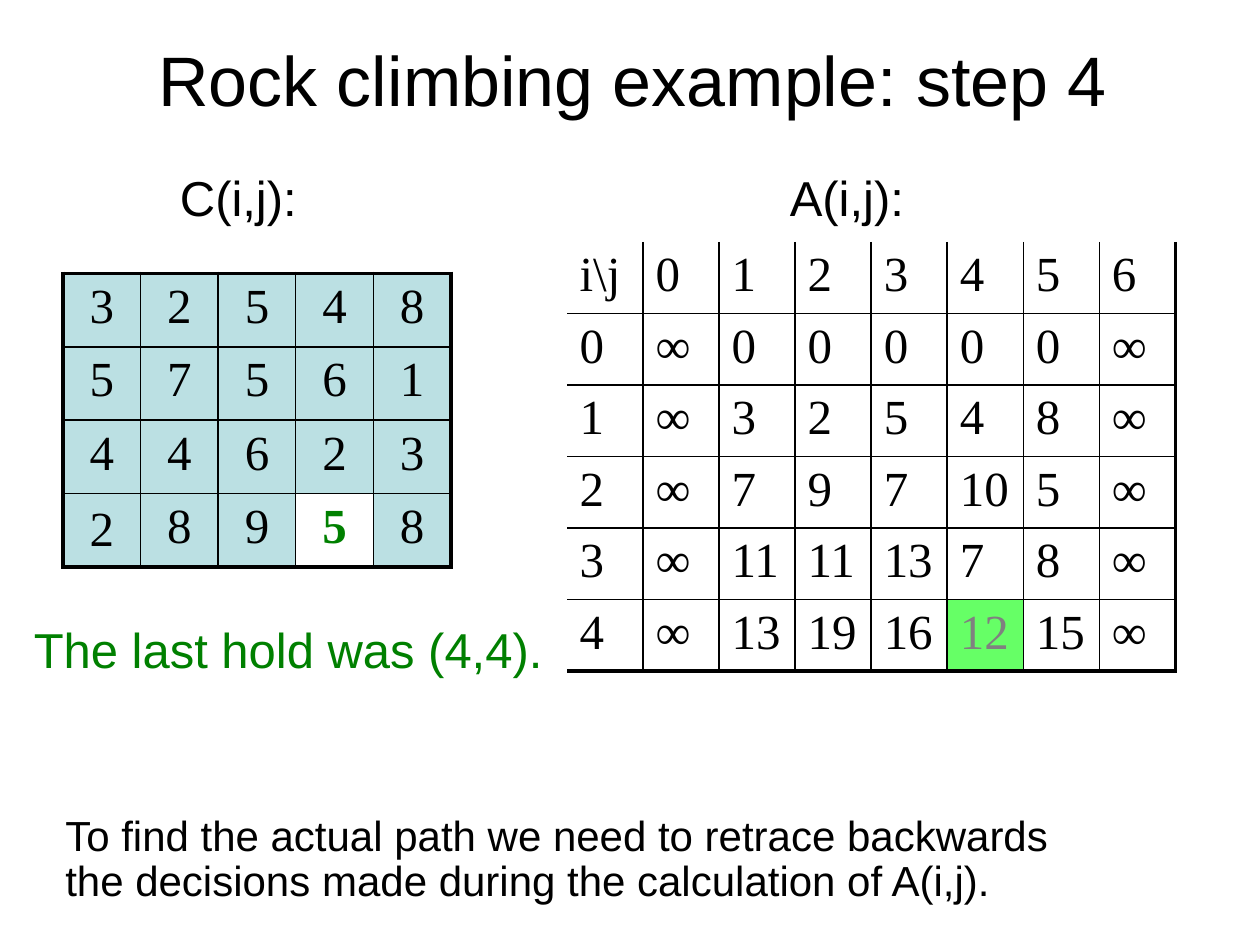
from lxml.etree import SubElement
from pptx import Presentation
from pptx.dml.color import RGBColor
from pptx.enum.text import MSO_ANCHOR, PP_ALIGN
from pptx.oxml.ns import qn
from pptx.util import Inches, Pt

BLACK, GREEN, WHITE = "000000", "008000", "FFFFFF"
THIN, THICK = 1, 2.25

# text lines, (left, top, width, height), size, colour, extra format
TEXTS = [
    (["Rock climbing example: step 4"], (0.77, 0, 8.5, 1.25), 40, BLACK,
     {"align": PP_ALIGN.CENTER, "anchor": MSO_ANCHOR.MIDDLE, "spacing": 1}),
    (["C(i,j):"], (1.33, 1.33, 1.14, 0.52), 28, BLACK, {"wrap": False}),
    (["A(i,j):"], (6.17, 1.33, 1.16, 0.52), 28, BLACK, {"wrap": False}),
    (["The last hold was (4,4)."], (0.17, 4.92, 4.25, 0.52), 28, GREEN, {"wrap": False}),
    (["To find the actual path we need to retrace backwards",
      "the decisions made during the calculation of A(i,j)."],
     (0.42, 6.42, 8.76, 0.82), 24, BLACK, {}),
]

# edges: outer border widths for left, right, top, bottom (0 is no line)
# special: cells that differ, by (row, column)
TABLES = [
    {"rows": ["3 2 5 4 8", "5 7 5 6 1", "4 4 6 2 3", "2 8 9 5 8"],
     "box": (0.5, 2.17, 3.08, 2.33), "fill": "BBE0E3", "align": PP_ALIGN.CENTER,
     "edges": (THICK, THICK, THICK, THICK),
     "special": {(3, 0): {"anchor": MSO_ANCHOR.MIDDLE},
                 (3, 3): {"fill": WHITE, "color": GREEN, "bold": True}}},
    {"rows": [r"i\j 0 1 2 3 4 5 6", "0 ∞ 0 0 0 0 0 ∞", "1 ∞ 3 2 5 4 8 ∞",
              "2 ∞ 7 9 7 10 5 ∞", "3 ∞ 11 11 13 7 8 ∞", "4 ∞ 13 19 16 12 15 ∞"],
     "box": (4.5, 1.92, 4.83, 3.4), "fill": None, "align": PP_ALIGN.LEFT,
     "edges": (0, THICK, 0, THICK),
     "special": {(5, 5): {"fill": "66FF66", "color": "808080"}}},
]


def rgb(value):
    return RGBColor.from_string(value)


def set_font(font, name, size, color, bold=False):
    for key, value in {"name": name, "size": Pt(size), "bold": bold}.items():
        setattr(font, key, value)
    font.color.rgb = rgb(color)


def add_text(slide, lines, box, size, color, fmt):
    tf = slide.shapes.add_textbox(*map(Inches, box)).text_frame
    tf.word_wrap = fmt.get("wrap", True)
    tf.vertical_anchor = fmt.get("anchor", MSO_ANCHOR.TOP)
    tf.text = "\n".join(lines)
    for p in tf.paragraphs:
        p.alignment = fmt.get("align", PP_ALIGN.LEFT)
        p.line_spacing = fmt.get("spacing", 0.9)
        set_font(p.runs[0].font, "Arial", size, color)


def set_borders(cell, widths):
    """Draw left, right, top and bottom lines; they must precede the fill."""
    tcPr = cell._tc.get_or_add_tcPr()
    for i, (side, width) in enumerate(zip("LRTB", widths)):
        ln = SubElement(tcPr, qn(f"a:ln{side}"), w=str(Pt(width)))
        if width:
            solid = SubElement(ln, qn("a:solidFill"))
            SubElement(solid, qn("a:srgbClr"), val=BLACK)
        else:
            SubElement(ln, qn("a:noFill"))
        tcPr.insert(i, ln)


def add_grid(slide, rows, box, fill, align, edges, special):
    grid = [row.split() for row in rows]
    n_rows, n_cols = len(grid), len(grid[0])
    left, top, width, height = map(Inches, box)
    table = slide.shapes.add_table(n_rows, n_cols, left, top, width, height).table
    table.first_row = table.horz_banding = False
    for col in table.columns:
        col.width = width // n_cols
    for row in table.rows:
        row.height = height // n_rows
    for i, row in enumerate(grid):
        for j, text in enumerate(row):
            cell, fmt = table.cell(i, j), special.get((i, j), {})
            cell.text = text
            cell.vertical_anchor = fmt.get("anchor", MSO_ANCHOR.TOP)
            p = cell.text_frame.paragraphs[0]
            p.alignment = align
            set_font(p.runs[0].font, "Times New Roman", 28,
                     fmt.get("color", BLACK), fmt.get("bold", False))
            color = fmt.get("fill", fill)
            if color:
                cell.fill.solid()
                cell.fill.fore_color.rgb = rgb(color)
            else:
                cell.fill.background()
            outer = (j == 0, j == n_cols - 1, i == 0, i == n_rows - 1)
            set_borders(cell, [e if o else THIN for e, o in zip(edges, outer)])


def main():
    prs = Presentation()
    prs.slide_width, prs.slide_height = Inches(10), Inches(7.5)
    s = prs.slides.add_slide(prs.slide_layouts[6])
    for item in TEXTS:
        add_text(s, *item)
    for table in TABLES:
        add_grid(s, **table)
    prs.save("out.pptx")


if __name__ == "__main__":
    main()
